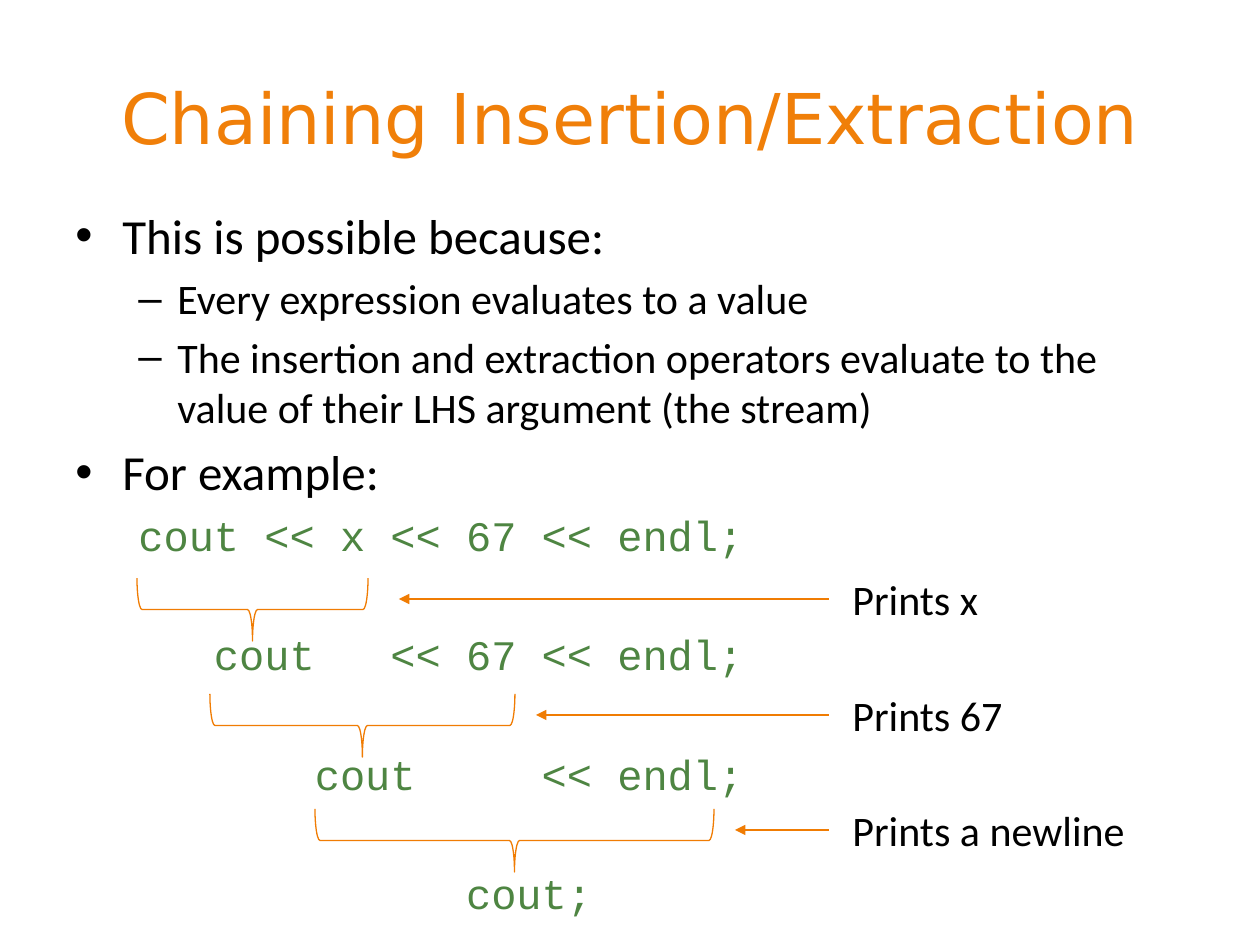
from lxml import etree
from pptx import Presentation
from pptx.dml.color import RGBColor
from pptx.enum.shapes import MSO_CONNECTOR, MSO_SHAPE
from pptx.enum.text import MSO_ANCHOR, PP_ALIGN
from pptx.oxml.ns import qn
from pptx.util import Emu, Pt

LINE = MSO_CONNECTOR.STRAIGHT
LEFT_BRACE = MSO_SHAPE.LEFT_BRACE
MIDDLE = MSO_ANCHOR.MIDDLE
CENTER = PP_ALIGN.CENTER
PX = 914400 / 126
ORANGE, ACCENT, GREEN, BLACK = "F07F09", "F07C03", "4E8542", "000000"


def px(*lengths):
    """Turn px lengths into a list of EMU."""
    return [Emu(round(length * PX)) for length in lengths]


def style(paragraph, size, color, font="Calibri"):
    paragraph.font.size = Pt(size)
    paragraph.font.name = font
    paragraph.font.color.rgb = RGBColor.from_string(color)


prs = Presentation()
prs.slide_width, prs.slide_height = px(1260, 945)
slide = prs.slides.add_slide(prs.slide_layouts[5])
shapes = slide.shapes

title = shapes.title
title.left, title.top, title.width, title.height = px(63, 38, 1134, 158)
title.text_frame.text = "Chaining Insertion/Extraction"
title.text_frame.vertical_anchor = MIDDLE
title.text_frame.paragraphs[0].alignment = CENTER
style(title.text_frame.paragraphs[0], 40, ORANGE, "DejaVu Sans")

# kind: left margin px, first-line indent px, bullet, size, colour, font
KINDS = {
    "point": (47, -47, "•", 28, BLACK, "Calibri"),
    "detail": (102, -39, "–", 24, BLACK, "Calibri"),
    "code": (63, 0, None, 24, GREEN, "Courier New"),
}
# kind, text, space before in points
CONTENT = [
    ("point", "This is possible because:", 0),
    ("detail", "Every expression evaluates to a value", 4.8),
    ("detail", "The insertion and extraction operators evaluate to the "
               "value of their LHS argument (the stream)", 4.8),
    ("point", "For example:", 5.6),
    ("code", "cout << x << 67 << endl;", 4.8),
    ("code", "   cout   << 67 << endl;", 39.5),
    ("code", "       cout     << endl;", 39.5),
    ("code", "             cout;", 39.5),
]
body = shapes.add_textbox(*px(63, 199, 1134, 725)).text_frame
body.word_wrap = True
for i, (kind, text, space_before) in enumerate(CONTENT):
    margin, indent, bullet, size, color, font = KINDS[kind]
    paragraph = body.add_paragraph() if i else body.paragraphs[0]
    paragraph.text = text
    paragraph.space_before = Pt(space_before)
    properties = paragraph._p.get_or_add_pPr()
    properties.set("marL", str(px(margin)[0]))
    properties.set("indent", str(px(indent)[0]))
    if bullet:
        etree.SubElement(properties, qn("a:buFont"), typeface="Arial")
        etree.SubElement(properties, qn("a:buChar"), char=bullet)
    style(paragraph, size, color, font)

# label, label top, label width, brace left, brace right, arrow tip
STEPS = [
    ("Prints x", 567, 200, 137, 368, 399),
    ("Prints 67", 683, 200, 210, 515, 536),
    ("Prints a newline", 798, 336, 315, 714, 735),
]
BRACE_DEPTH = 63
for text, top, width, left, right, tip in STEPS:
    # The upright frame shares its centre with the brace turned to point down
    span = right - left
    brace = shapes.add_shape(LEFT_BRACE, *px(
        (left + right - BRACE_DEPTH) / 2, top + 11 + (BRACE_DEPTH - span) / 2,
        BRACE_DEPTH, span))
    brace.rotation = 270
    brace.adjustments[0] = 0.08
    brace.adjustments[1] = 0.5
    brace.fill.background()
    brace.shadow.inherit = False

    arrow = shapes.add_connector(LINE, *px(tip, top + 32, 829, top + 32))
    for outline in (brace.line, arrow.line):
        outline.color.rgb = RGBColor.from_string(ACCENT)
        outline.width = Pt(0.75)
    etree.SubElement(arrow.line._get_or_add_ln(), qn("a:headEnd"), type="triangle")
    etree.SubElement(arrow._element.spPr, qn("a:effectLst"))

    label = shapes.add_textbox(*px(840, top, width, 63)).text_frame
    label.word_wrap = True
    label.text = text
    style(label.paragraphs[0], 24, BLACK)

prs.save("out.pptx")
